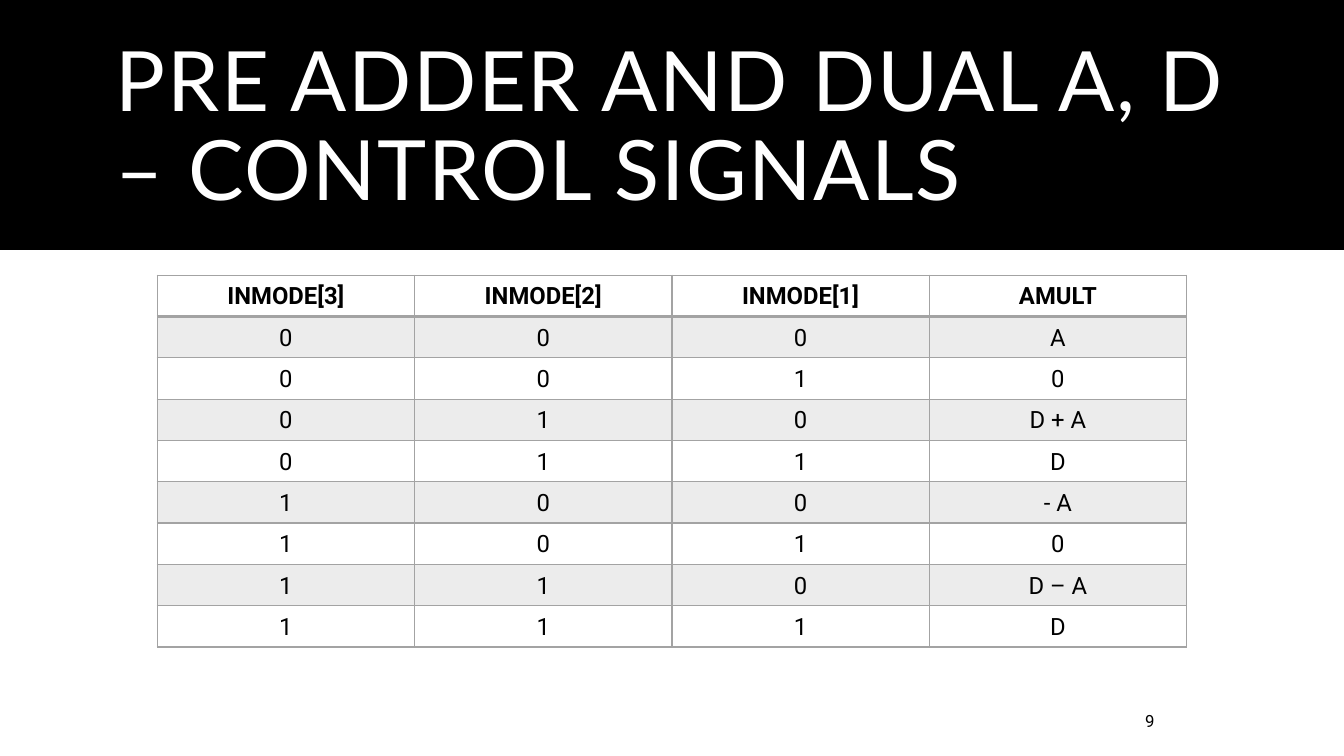
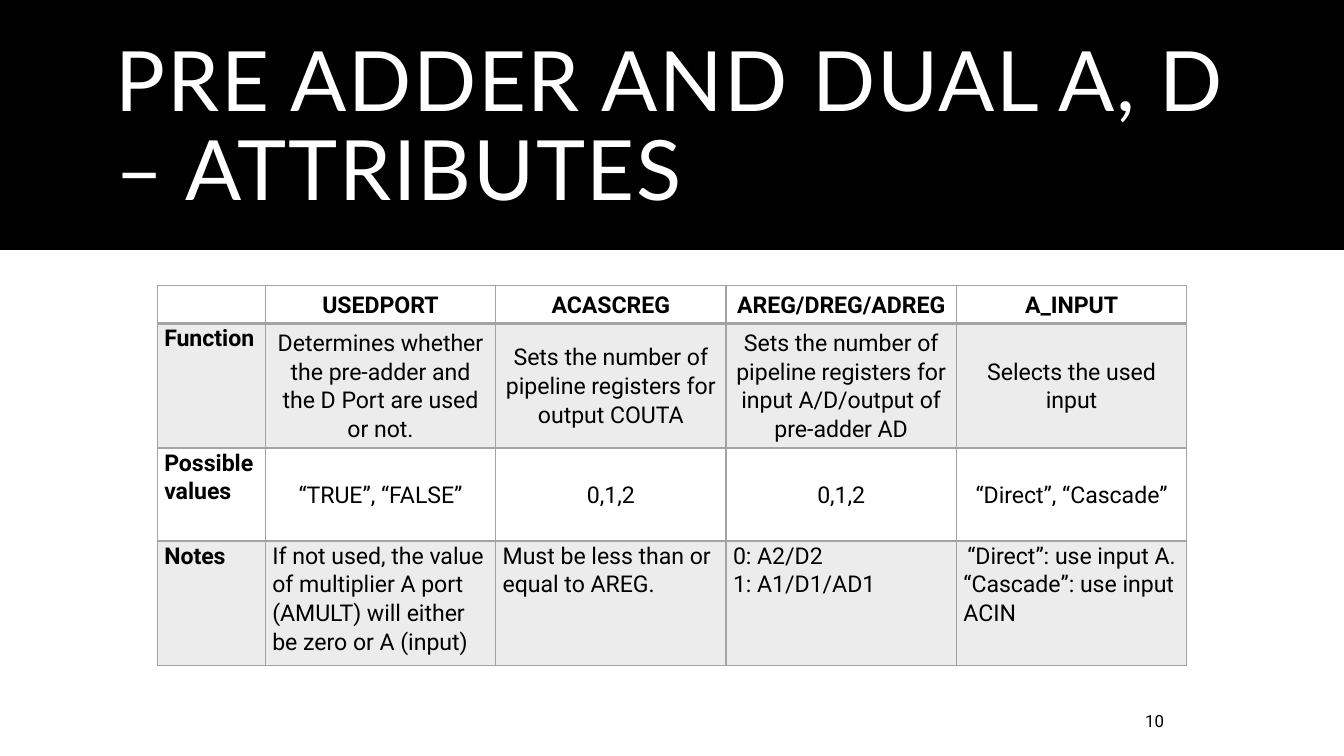
from dataclasses import dataclass

from lxml import etree
from pptx import Presentation
from pptx import util as u
from pptx.dml.color import RGBColor
from pptx.enum import shapes, text
from pptx.oxml.ns import qn

WIDTH, HEIGHT = u.Inches(13.33), u.Inches(7.5)
BLACK, WHITE, GREY = "000000", "FFFFFF", "A3A3A3"
TITLE_FONT, BODY_FONT = "Lato", "Roboto"
BAND_OPACITY = 20  # percent
CELL_INSET = u.Inches(0.07)


@dataclass(frozen=True)
class Box:
    """A frame in percent of the slide's width and height."""
    left: float
    top: float
    width: float
    height: float

    def lengths(self) -> tuple[int, int, int, int]:
        return (int(WIDTH * self.left / 100), int(HEIGHT * self.top / 100),
                int(WIDTH * self.width / 100), int(HEIGHT * self.height / 100))


@dataclass(frozen=True)
class Grid:
    """Table content; column and row weights share out the box."""
    box: Box
    columns: tuple[float, ...]
    rows: tuple[float, ...]
    size: float
    cells: list[list[str]]
    has_labels: bool = False  # bold first column, notes in the last row
    centred_lines: tuple[str, ...] = ()


@dataclass(frozen=True)
class Page:
    title: str
    number: int
    grid: Grid


BAND_BOX = Box(0, 0, 100, 33.07)
TITLE_BOX = Box(7.88, 4.67, 84.24, 24.8)
NUMBER_BOX = Box(84.47, 92.67, 7.65, 5.33)

PAGES = [
    Page("PRE ADDER AND DUAL A, D – CONTROL SIGNALS", 9, Grid(
        Box(11.7, 36.4, 76.6, 49.2), (1,) * 4, (1,) * 9, 17,
        [
            ["INMODE[3]", "INMODE[2]", "INMODE[1]", "AMULT"],
            *([*f"{code:03b}", result] for code, result in enumerate(
                ["A", "0", "D + A", "D", "- A", "0", "D – A", "D"])),
        ])),
    Page("PRE ADDER AND DUAL A, D – ATTRIBUTES", 10, Grid(
        Box(11.7, 37.73, 76.6, 50.27), (1.07, *(2.28,) * 4),
        (0.38, 1.23, 0.92, 1.23), 16.5,
        [
            ["", "USEDPORT", "ACASCREG", "AREG/DREG/ADREG", "A_INPUT"],
            ["Function",
             "Determines whether the pre-adder and the D Port are used or not.",
             "Sets the number of pipeline registers for output COUTA",
             "Sets the number of pipeline registers for input A/D/output of pre-adder AD",
             "Selects the used input"],
            ["Possible values", "“TRUE”, “FALSE”", "0,1,2", "0,1,2",
             "“Direct”, “Cascade”"],
            ["Notes",
             "If not used, the value of multiplier A port (AMULT) will either be zero or A (input)",
             "Must be less than or equal to AREG.",
             "0: A2/D2\n1: A1/D1/AD1",
             "“Direct”: use input A.\n“Cascade”: use input ACIN"],
        ], has_labels=True, centred_lines=("“Direct”: use input A.",))),
]


def colour(code: str) -> RGBColor:
    return RGBColor.from_string(code)


def style_font(para, name: str, size: float, code: str, bold: bool = False) -> None:
    font = para.font
    font.name, font.size, font.bold = name, u.Pt(size), bold
    font.color.rgb = colour(code)


def add_text(slide, box: Box, content: str, name: str, size: float, code: str):
    frame = slide.shapes.add_textbox(*box.lengths()).text_frame
    frame.word_wrap = True
    frame.vertical_anchor = text.MSO_ANCHOR.MIDDLE
    para = frame.paragraphs[0]
    para.text = content
    style_font(para, name, size, code)
    return para


def draw_frame(slide, page: Page) -> None:
    """Title band, title and page number."""
    band = slide.shapes.add_shape(shapes.MSO_SHAPE.RECTANGLE, *BAND_BOX.lengths())
    band.shadow.inherit = False
    band.fill.solid()
    band.fill.fore_color.rgb = colour(BLACK)
    band.line.fill.background()

    title = add_text(slide, TITLE_BOX, page.title, TITLE_FONT, 59.4, WHITE)
    title.line_spacing = 0.9
    title._p.get_or_add_pPr().get_or_add_defRPr().set("spc", "120")
    add_text(slide, NUMBER_BOX, str(page.number), BODY_FONT, 12, BLACK)


def add_borders(cell, bottom: float) -> None:
    properties = cell._tc.get_or_add_tcPr()
    for side, points in (("L", 1), ("R", 1), ("T", 1), ("B", bottom)):
        line = etree.SubElement(properties, qn(f"a:ln{side}"), w=str(u.Pt(points)))
        fill = etree.SubElement(line, qn("a:solidFill"))
        etree.SubElement(fill, qn("a:srgbClr"), val=GREY)


def fill_cell(cell, banded: bool) -> None:
    if not banded:
        cell.fill.background()
        return
    cell.fill.solid()
    cell.fill.fore_color.rgb = colour(GREY)
    tint = cell._tc.tcPr.find(qn("a:solidFill"))[0]
    etree.SubElement(tint, qn("a:alpha"), val=str(BAND_OPACITY * 1000))


def draw_cell(cell, grid: Grid, row: int, column: int) -> None:
    is_header = row == 0
    is_label = grid.has_labels and column == 0
    is_note = grid.has_labels and row == len(grid.rows) - 1
    at_top = not is_header and (is_label or is_note)

    add_borders(cell, bottom=2 if is_header else 1)
    fill_cell(cell, banded=row % 2 == 1)
    cell.margin_left = cell.margin_right = CELL_INSET
    cell.margin_top = cell.margin_bottom = 0
    cell.vertical_anchor = text.MSO_ANCHOR.TOP if at_top else text.MSO_ANCHOR.MIDDLE
    cell.text = grid.cells[row][column]
    for para in cell.text_frame.paragraphs:
        centred = not at_top or para.text in grid.centred_lines
        para.alignment = text.PP_ALIGN.CENTER if centred else text.PP_ALIGN.LEFT
        para.line_spacing = 1.07
        style_font(para, BODY_FONT, grid.size, BLACK, bold=is_header or is_label)


def draw_table(slide, grid: Grid) -> None:
    left, top, width, height = grid.box.lengths()
    table = slide.shapes.add_table(
        len(grid.rows), len(grid.columns), left, top, width, height).table
    table.first_row = table.horz_banding = False
    for column, weight in zip(table.columns, grid.columns):
        column.width = int(width * weight / sum(grid.columns))
    for row, weight in zip(table.rows, grid.rows):
        row.height = int(height * weight / sum(grid.rows))
    for row in range(len(grid.rows)):
        for column in range(len(grid.columns)):
            draw_cell(table.cell(row, column), grid, row, column)


def main() -> None:
    deck = Presentation()
    deck.slide_width, deck.slide_height = WIDTH, HEIGHT
    blank = deck.slide_layouts[6]
    for page in PAGES:
        slide = deck.slides.add_slide(blank)
        draw_frame(slide, page)
        draw_table(slide, page.grid)
    deck.save("out.pptx")


if __name__ == "__main__":
    main()
